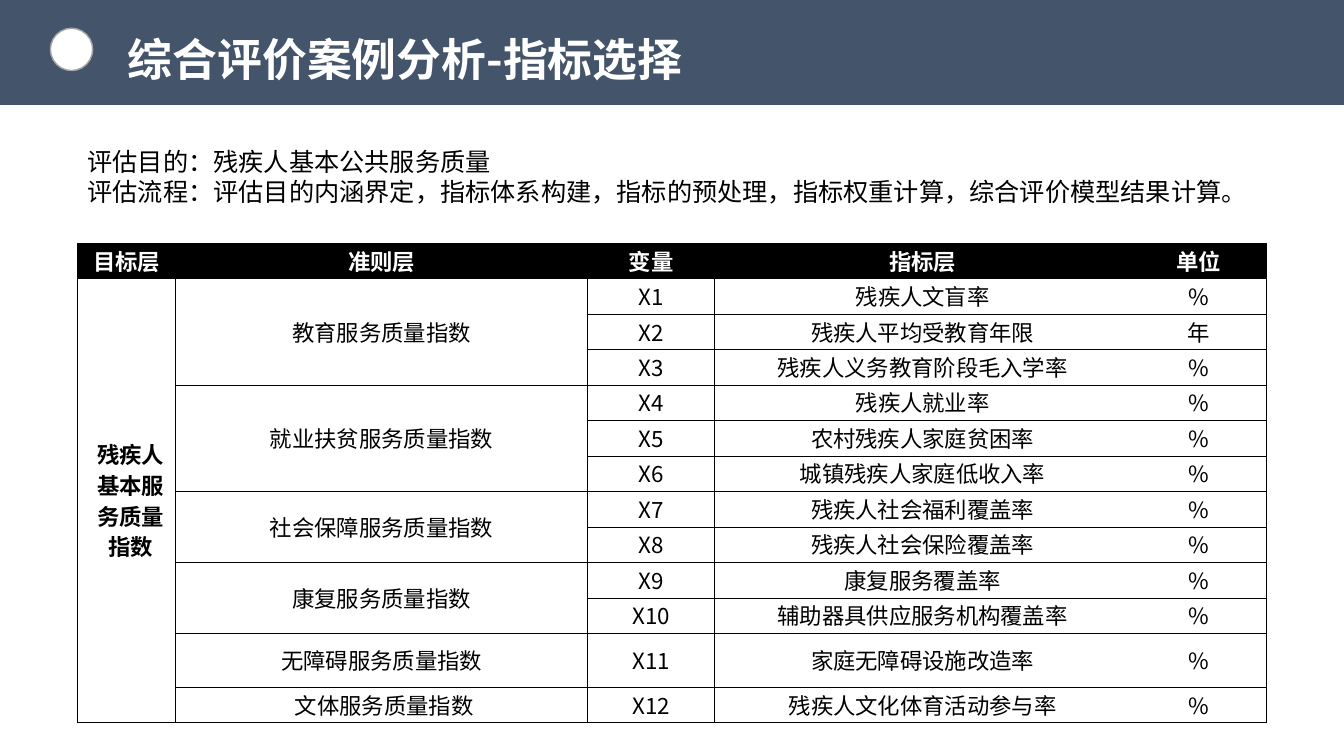
from dataclasses import dataclass

from lxml.etree import SubElement
from pptx import Presentation
from pptx.dml.color import RGBColor
from pptx.enum.shapes import MSO_SHAPE as Shape
from pptx.enum.text import MSO_ANCHOR as Anchor, MSO_AUTO_SIZE as AutoSize, PP_ALIGN as Align
from pptx.oxml.ns import qn
from pptx.util import Pt


@dataclass(frozen=True)
class Theme:
    font: str = "Noto Sans CJK SC"
    bar: str = "44546A"
    ring: str = "A5A5A5"
    dark: str = "000000"
    light: str = "FFFFFF"
    title_size: float = 32
    body_size: float = 18
    table_size: float = 16
    table_spacing: float = 22
    border: float = 0.5
    plain_table: str = "{2D5ABB26-0587-4C30-8999-92F81FD0307C}"


class SlideBuilder:
    def __init__(self, slide, theme):
        self.slide = slide
        self.theme = theme

    def span(self, para, text, size, color, bold=False):
        run = para.add_run()
        run.text = text
        font = run.font
        font.size, font.bold, font.name = Pt(size), bold, self.theme.font
        font.color.rgb = RGBColor.from_string(color)
        SubElement(font._element, qn("a:ea"), typeface=self.theme.font)

    def shape(self, kind, left, top, width, height, fill, line=None):
        shape = self.slide.shapes.add_shape(kind, Pt(left), Pt(top), Pt(width), Pt(height))
        shape.shadow.inherit = False
        shape.fill.solid()
        shape.fill.fore_color.rgb = RGBColor.from_string(fill)
        if line:
            shape.line.color.rgb = RGBColor.from_string(line)
            shape.line.width = Pt(1)
        else:
            shape.line.fill.background()

    def text(self, left, top, width, height, lines, size, color, bold=False, spacing=None):
        box = self.slide.shapes.add_textbox(Pt(left), Pt(top), Pt(width), Pt(height))
        frame = box.text_frame
        frame.word_wrap = True
        frame.auto_size = AutoSize.SHAPE_TO_FIT_TEXT
        for index, line in enumerate(lines):
            para = frame.add_paragraph() if index else frame.paragraphs[0]
            para.line_spacing = spacing
            self.span(para, line, size, color, bold)

    def table(self, left, top, widths, heights):
        frame = self.slide.shapes.add_table(
            len(heights), len(widths), Pt(left), Pt(top), Pt(sum(widths)), Pt(sum(heights)))
        table = frame.table
        table._tbl.tblPr.find(qn("a:tableStyleId")).text = self.theme.plain_table
        table.horz_banding = False
        for column, width in zip(table.columns, widths):
            column.width = Pt(width)
        for row, height in zip(table.rows, heights):
            row.height = Pt(height)
        return table

    def cell(self, cell, text, sides, fill, color, bold=False, indent=0):
        theme = self.theme
        cell.vertical_anchor = Anchor.MIDDLE
        cell.margin_left = cell.margin_right = cell.margin_top = cell.margin_bottom = Pt(0.7)
        properties = cell._tc.get_or_add_tcPr()
        for side in sides:
            line = SubElement(properties, qn(f"a:ln{side}"), w=str(Pt(theme.border)))
            SubElement(SubElement(line, qn("a:solidFill")), qn("a:srgbClr"), val=theme.dark)
        cell.fill.solid()
        cell.fill.fore_color.rgb = RGBColor.from_string(fill)
        para = cell.text_frame.paragraphs[0]
        para.alignment = Align.CENTER
        para.line_spacing = Pt(theme.table_spacing)
        if indent:
            para._p.get_or_add_pPr().set("marL", str(Pt(indent)))
        self.span(para, text, theme.table_size, color, bold)


HEADINGS = ["目标层", "准则层", "变量", "指标层", "单位"]
GOAL = "残疾人基本服务质量指数"
CRITERIA = [
    ("教育服务质量指数", ["残疾人文盲率", "残疾人平均受教育年限", "残疾人义务教育阶段毛入学率"]),
    ("就业扶贫服务质量指数", ["残疾人就业率", "农村残疾人家庭贫困率", "城镇残疾人家庭低收入率"]),
    ("社会保障服务质量指数", ["残疾人社会福利覆盖率", "残疾人社会保险覆盖率"]),
    ("康复服务质量指数", ["康复服务覆盖率", "辅助器具供应服务机构覆盖率"]),
    ("无障碍服务质量指数", ["家庭无障碍设施改造率"]),
    (" 文体服务质量指数", ["残疾人文化体育活动参与率"]),
]
UNITS = {"残疾人平均受教育年限": "年"}
COLUMN_SIDES = ["LRTB", "LRTB", "LTB", "TB", "RTB"]
COLUMN_WIDTHS = [70, 294.5, 90.5, 297.5, 97]
ROW_HEIGHTS = [25.35] * 11 + [38.4, 25.35]


def add_indicator_table(builder):
    theme = builder.theme
    table = builder.table(55.4, 173.8, COLUMN_WIDTHS, ROW_HEIGHTS)

    # Heading row
    for column, heading in enumerate(HEADINGS):
        builder.cell(table.cell(0, column), heading, COLUMN_SIDES[column],
                     theme.dark, theme.light, bold=True)

    # Goal, spanning every indicator
    goal = table.cell(1, 0)
    goal.merge(table.cell(len(ROW_HEIGHTS) - 1, 0))
    builder.cell(goal, GOAL, COLUMN_SIDES[0], theme.light, theme.dark, bold=True, indent=6)

    # Criteria with their indicators
    row = 1
    for criterion, indicators in CRITERIA:
        group = table.cell(row, 1)
        if len(indicators) > 1:
            group.merge(table.cell(row + len(indicators) - 1, 1))
        builder.cell(group, criterion, COLUMN_SIDES[1], theme.light, theme.dark)
        for indicator in indicators:
            values = [f"X{row}", indicator, UNITS.get(indicator, "%")]
            for column, value in enumerate(values, start=2):
                builder.cell(table.cell(row, column), value, COLUMN_SIDES[column],
                             theme.light, theme.dark)
            row += 1


def main():
    deck = Presentation()
    deck.slide_width, deck.slide_height = Pt(960), Pt(540)
    page = deck.slides.add_slide(deck.slide_layouts[6])
    theme = Theme()
    builder = SlideBuilder(page, theme)

    # Title bar
    builder.shape(Shape.RECTANGLE, 0, 0, 960, 74.9, theme.bar)
    builder.shape(Shape.OVAL, 36, 20.2, 30.2, 30.2, theme.light, theme.ring)
    builder.text(84.2, 0, 494.6, 65.5, ["综合评价案例分析-指标选择"],
                 theme.title_size, theme.light, bold=True, spacing=1.5)

    # Indicator system
    add_indicator_table(builder)

    # Purpose and process
    builder.text(55.4, 100.8, 849.6, 51.1, [
        "评估目的：残疾人基本公共服务质量",
        "评估流程：评估目的内涵界定，指标体系构建，指标的预处理，指标权重计算，综合评价模型结果计算。",
    ], theme.body_size, theme.dark)

    deck.save("out.pptx")


if __name__ == "__main__":
    main()
